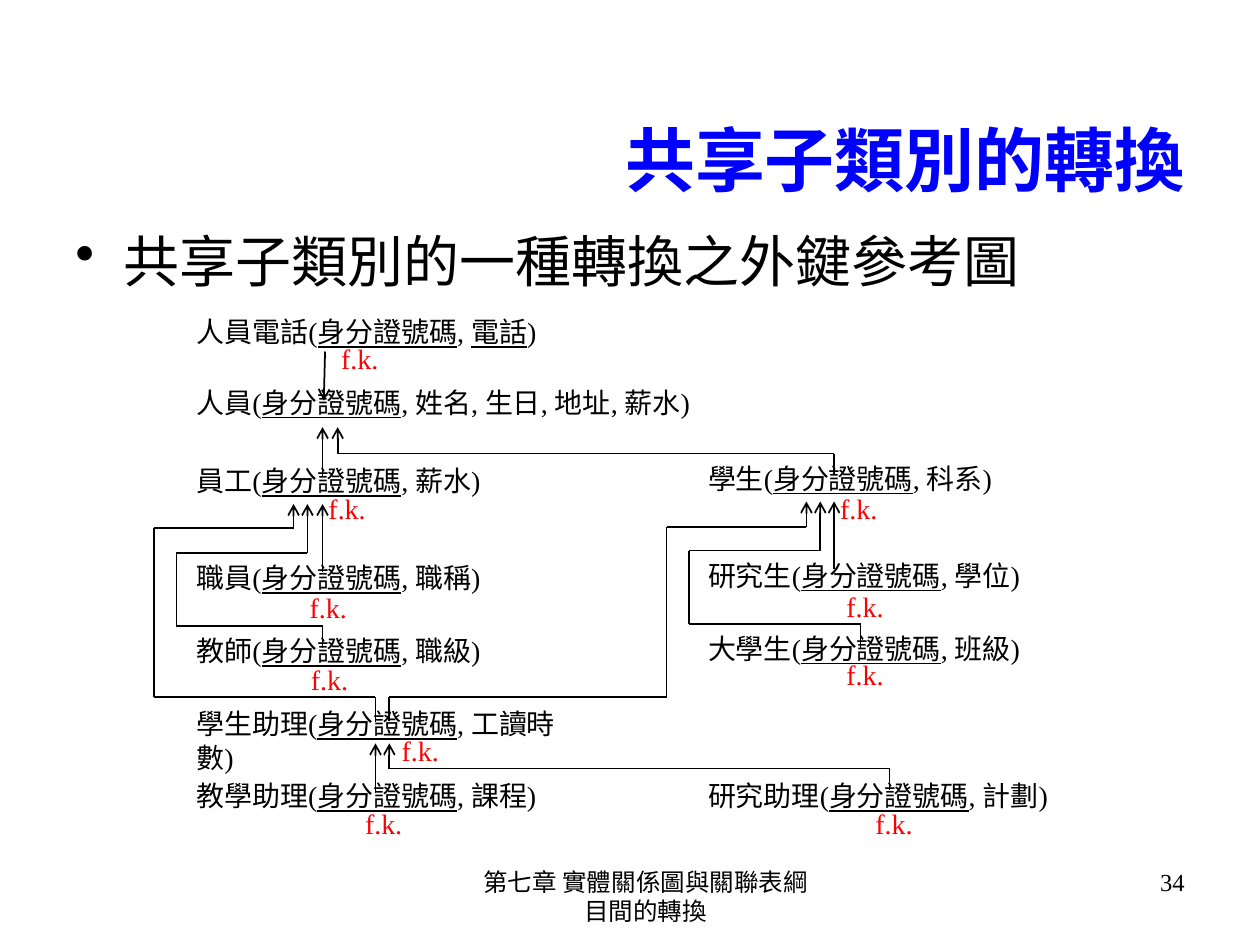
from dataclasses import dataclass
from itertools import pairwise

from lxml import etree
from pptx import Presentation
from pptx.dml.color import RGBColor
from pptx.enum.shapes import MSO_CONNECTOR
from pptx.enum.text import MSO_ANCHOR, PP_ALIGN
from pptx.oxml.ns import qn
from pptx.slide import Slide
from pptx.text.text import TextFrame
from pptx.util import Emu, Pt

LEFT, CENTER, RIGHT = PP_ALIGN.LEFT, PP_ALIGN.CENTER, PP_ALIGN.RIGHT
TOP, MIDDLE = MSO_ANCHOR.TOP, MSO_ANCHOR.MIDDLE
STRAIGHT = MSO_CONNECTOR.STRAIGHT
SCALE = 9144  # 100 px to the inch


@dataclass(frozen=True)
class Theme:
    black: RGBColor = RGBColor(0x00, 0x00, 0x00)
    blue: RGBColor = RGBColor(0x00, 0x00, 0xFF)
    red: RGBColor = RGBColor(0xFF, 0x00, 0x00)
    sans: str = "Arial"
    serif: str = "Times New Roman"
    title: int = 40
    body: int = 32
    label: int = 16
    foot: int = 14
    line: int = 1


THEME = Theme()


@dataclass(frozen=True)
class Label:
    """Text in a box; parts between underscores are underlined."""
    text: str
    x: int
    y: int
    w: int
    h: int = 39
    size: int = THEME.label
    font: str = THEME.serif
    color: RGBColor = THEME.black
    bold: bool = False
    align: PP_ALIGN = LEFT
    anchor: MSO_ANCHOR = TOP
    pad: tuple[int, int] = (0, 0)
    indent: int = 0
    bullet: str = ""


@dataclass(frozen=True)
class Link:
    """A bent line through its points, with an arrowhead at the last."""
    points: tuple[tuple[int, int], ...]


def px(n: int) -> Emu:
    return Emu(n * SCALE)


def key(x: int, y: int) -> Label:
    return Label("f.k.", x, y, 39, color=THEME.red, align=CENTER)


def bend(x: int, y: int, mid: int, end: int, top: int) -> Link:
    """Up from (x, y) to mid, across to end, then up to top."""
    return Link(((x, y), (x, mid), (end, mid), (end, top)))


def loop(x: int, y: int, low: int, side: int, high: int, end: int, top: int) -> Link:
    """Up to low, across to side, up to high, across to end, up to top."""
    return Link(((x, y), (x, low), (side, low), (side, high), (end, high), (end, top)))


def indent(frame: TextFrame, item: Label) -> None:
    props = frame.paragraphs[0]._p.get_or_add_pPr()
    props.set("marL", str(px(item.indent)))
    props.set("indent", str(px(-item.indent if item.bullet else 0)))
    if item.bullet:
        etree.SubElement(props, qn("a:buChar")).set("char", item.bullet)


def write(slide: Slide, item: Label) -> None:
    box = slide.shapes.add_textbox(px(item.x), px(item.y), px(item.w), px(item.h))
    frame = box.text_frame
    frame.word_wrap = True
    frame.vertical_anchor = item.anchor
    frame.margin_left = frame.margin_right = px(item.pad[0])
    frame.margin_top = frame.margin_bottom = px(item.pad[1])
    indent(frame, item)
    para = frame.paragraphs[0]
    para.alignment = item.align
    for i, part in enumerate(item.text.split("_")):
        run = para.add_run()
        run.text = part
        font = run.font
        font.name, font.size, font.bold = item.font, Pt(item.size), item.bold
        font.underline = i % 2 == 1
        font.color.rgb = item.color


def draw(slide: Slide, link: Link) -> None:
    for a, b in pairwise(link.points):
        line = slide.shapes.add_connector(STRAIGHT, *map(px, a + b))
        line.line.color.rgb = THEME.black
        line.line.width = Pt(THEME.line)
        etree.SubElement(line._element.spPr, qn("a:effectLst"))
    tip = etree.SubElement(line.line._ln, qn("a:tailEnd"))
    tip.set("type", "arrow")


PAD = (10, 5)
COL1, COL2, WIDE = 156, 562, 313

FRAME = (
    Label("共享子類別的轉換", 50, 92, 900, 67, THEME.title, THEME.sans, THEME.blue,
          True, RIGHT, MIDDLE, PAD),
    Label("共享子類別的一種轉換之外鍵參考圖", 50, 175, 900, 542, THEME.body, THEME.sans,
          pad=PAD, indent=38, bullet="•"),
    Label("第七章 實體關係圖與關聯表綱目間的轉換", 342, 683, 317, 52, THEME.foot,
          align=CENTER, pad=PAD, indent=24),
    Label("34", 717, 683, 233, 52, THEME.foot, align=RIGHT, pad=PAD, indent=24),
)

TABLES = (
    Label("人員電話(_身分證號碼_, _電話_)", COL1, 250, 409),
    Label("人員(_身分證號碼_, 姓名, 生日, 地址, 薪水)", COL1, 306, 410),
    Label("員工(_身分證號碼_, 薪水)", COL1, 368, WIDE),
    Label("職員(_身分證號碼_, 職稱)", COL1, 445, WIDE),
    Label("教師(_身分證號碼_, 職級)", COL1, 503, WIDE),
    Label("學生助理(_身分證號碼_, 工讀時數)", COL1, 561, WIDE),
    Label("教學助理(_身分證號碼_, 課程)", COL1, 618, WIDE),
    Label("學生(_身分證號碼_, 科系)", COL2, 366, WIDE),
    Label("研究生(_身分證號碼_, 學位)", COL2, 443, WIDE),
    Label("大學生(_身分證號碼_, 班級)", COL2, 501, WIDE),
    Label("研究助理(_身分證號碼_, 計劃)", COL2, 618, WIDE),
)

KEYS = (
    key(266, 271), key(256, 390), key(241, 469), key(242, 526), key(314, 582),
    key(285, 640), key(662, 390), key(667, 468), key(667, 522), key(690, 640),
)

LINKS = (
    Link(((258, 279), (257, 318))),
    Link(((256, 378), (256, 339))),
    Link(((256, 454), (256, 400))),
    Link(((662, 452), (662, 398))),
    Link(((298, 629), (298, 590))),
    bend(662, 377, 360, 268, 339),
    bend(706, 627, 610, 309, 590),
    loop(256, 514, 497, 140, 439, 244, 400),
    loop(298, 573, 553, 122, 419, 233, 400),
    loop(309, 572, 553, 529, 418, 640, 398),
    loop(683, 514, 495, 547, 437, 651, 398),
)


def main() -> None:
    deck = Presentation()
    deck.slide_width, deck.slide_height = px(1000), px(750)
    slide = deck.slides.add_slide(deck.slide_layouts[6])
    for item in FRAME + TABLES + KEYS:
        write(slide, item)
    for link in LINKS:
        draw(slide, link)
    deck.save("out.pptx")


if __name__ == "__main__":
    main()
